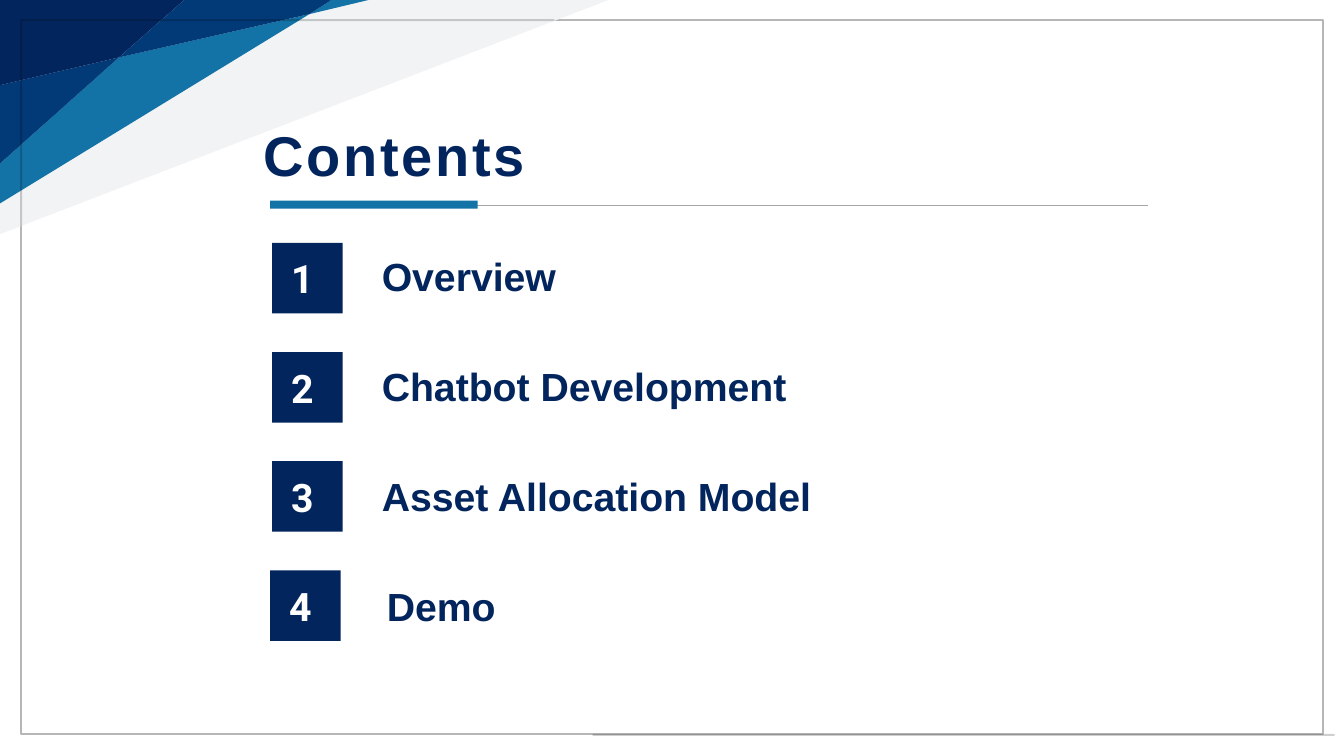
"""Build a contents slide with four numbered entries and a faceted corner."""
from lxml import etree
from pptx import Presentation, util as u
from pptx.dml.color import RGBColor
from pptx.enum import shapes, text
from pptx.oxml import ns

COLORS = {
    "navy": "03255D", "blue": "023977", "teal": "1372A6", "mist": "F1F3F4",
    "frame": "B6B6B6", "rule": "A6A6A6", "black": "000000", "white": "FFFFFF",
}
COLORS = {name: RGBColor.from_string(value) for name, value in COLORS.items()}

deck = Presentation()
deck.slide_width, deck.slide_height = u.Inches(13.33), u.Inches(7.5)
COL, ROW = deck.slide_width / 100, deck.slide_height / 100
slide = deck.slides.add_slide(deck.slide_layouts[5])


def cells(*lengths):
    """Turn alternating columns and rows into slide lengths."""
    return [round(n * (ROW if i % 2 else COL)) for i, n in enumerate(lengths)]


def write(holder, words, size, font, color):
    """Set one bold line of text and return its run."""
    frame = holder.text_frame
    frame.text = words
    run = frame.paragraphs[0].runs[0]
    run.font.size, run.font.name, run.font.bold = u.Pt(size), font, True
    run.font.color.rgb = COLORS[color]
    return run


border = slide.shapes.add_shape(shapes.MSO_SHAPE.RECTANGLE, *cells(1.57, 2.67, 96.9, 94.4))
border.shadow.inherit = False
border.fill.background()
border.line.color.rgb = COLORS["frame"]
border.line.width = u.Pt(1.5)

corner = (-0.15, -0.27)
crossing = (8.85, 7.6)
tip = (23.02, 1.87)
top_near, top_mid, top_far = (13.88, -0.27), (24.9, -0.27), (28.05, -0.27)
left_near, left_mid, left_far = (-0.15, 11.33), (-0.15, 21.87), (-0.15, 27.07)
facets = [
    ("mist", [(45.67, -0.27), (-0.15, 31.07), corner]),
    ("teal", [top_far, tip, top_mid]),
    ("teal", [tip, left_far, left_mid, crossing]),
    ("blue", [crossing, left_mid, left_near]),
    ("navy", [top_near, crossing, left_near, corner]),
    ("blue", [top_mid, tip, crossing, top_near]),
]
for color, points in facets:
    start, *rest = [cells(*point) for point in points]
    outline = slide.shapes.build_freeform(*start)
    outline.add_line_segments(rest, close=True)
    facet = outline.convert_to_shape()
    facet.shadow.inherit = False
    facet.fill.solid()
    facet.fill.fore_color.rgb = COLORS[color]
    facet.line.fill.background()

strokes = [
    ((20.1, 27.2, 85.43, 27.2), "rule", 0.5, 100),
    ((1.65, 2.67, 41.25, 2.67), "black", 1.5, 18),
    ((1.57, 29.87, 1.57, 2.53), "black", 1.5, 18),
    ((44.1, 97.2, 99.3, 97.2), "black", 1.5, 18),
]
for ends, color, width, opacity in strokes:
    stroke = slide.shapes.add_connector(shapes.MSO_CONNECTOR.STRAIGHT, *cells(*ends))
    stroke.line.color.rgb = COLORS[color]
    stroke.line.width = u.Pt(width)
    etree.SubElement(stroke.element.spPr, ns.qn("a:effectLst"))
    if opacity < 100:
        tint = stroke.element.spPr.find(".//" + ns.qn("a:srgbClr"))
        etree.SubElement(tint, ns.qn("a:alpha"), val=str(opacity * 1000))

entries = [
    ("Overview", 20.25, 27.67),
    ("Chatbot Development", 20.25, 27.67),
    ("Asset Allocation Model", 20.25, 27.67),
    ("Demo", 20.1, 28.05),
]
blocks = [("teal", (20.1, 26.53, 15.45, 1.07), "")]
for index, (topic, number_left, topic_left) in enumerate(entries):
    blocks.append(("navy", (number_left, 32.13 + 14.44 * index, 5.25, 9.33), str(index + 1)))
    label = slide.shapes.add_textbox(*cells(topic_left, 32.67 + 14.57 * index, 51.75, 7.6))
    label.text_frame.word_wrap = True
    label.text_frame.auto_size = text.MSO_AUTO_SIZE.SHAPE_TO_FIT_TEXT
    write(label, topic, 28, "Arial", "navy")

for color, place, number in blocks:
    block = slide.shapes.add_shape(shapes.MSO_SHAPE.RECTANGLE, *cells(*place))
    block.shadow.inherit = False
    block.fill.solid()
    block.fill.fore_color.rgb = COLORS[color]
    block.line.fill.background()
    if number:
        write(block, number, 28, "Roboto", "white")
        block.text_frame.margin_left, block.text_frame.margin_right = 0, u.Inches(0.1)
        block.text_frame.vertical_anchor = text.MSO_ANCHOR.MIDDLE
        block.text_frame.paragraphs[0].alignment = text.PP_ALIGN.CENTER

heading = slide.shapes.title
heading.left, heading.top, heading.width, heading.height = cells(18.83, 14.53, 72.08, 12.67)
heading_run = write(heading, "Contents", 40, "Arial", "navy")
heading_run.font._element.set("spc", "200")
heading.text_frame.auto_size = text.MSO_AUTO_SIZE.NONE
heading.text_frame.vertical_anchor = text.MSO_ANCHOR.TOP
heading.text_frame.margin_top = u.Inches(0.11)
heading.text_frame.paragraphs[0].alignment = text.PP_ALIGN.LEFT
heading.element.getparent().append(heading.element)

deck.save("out.pptx")
